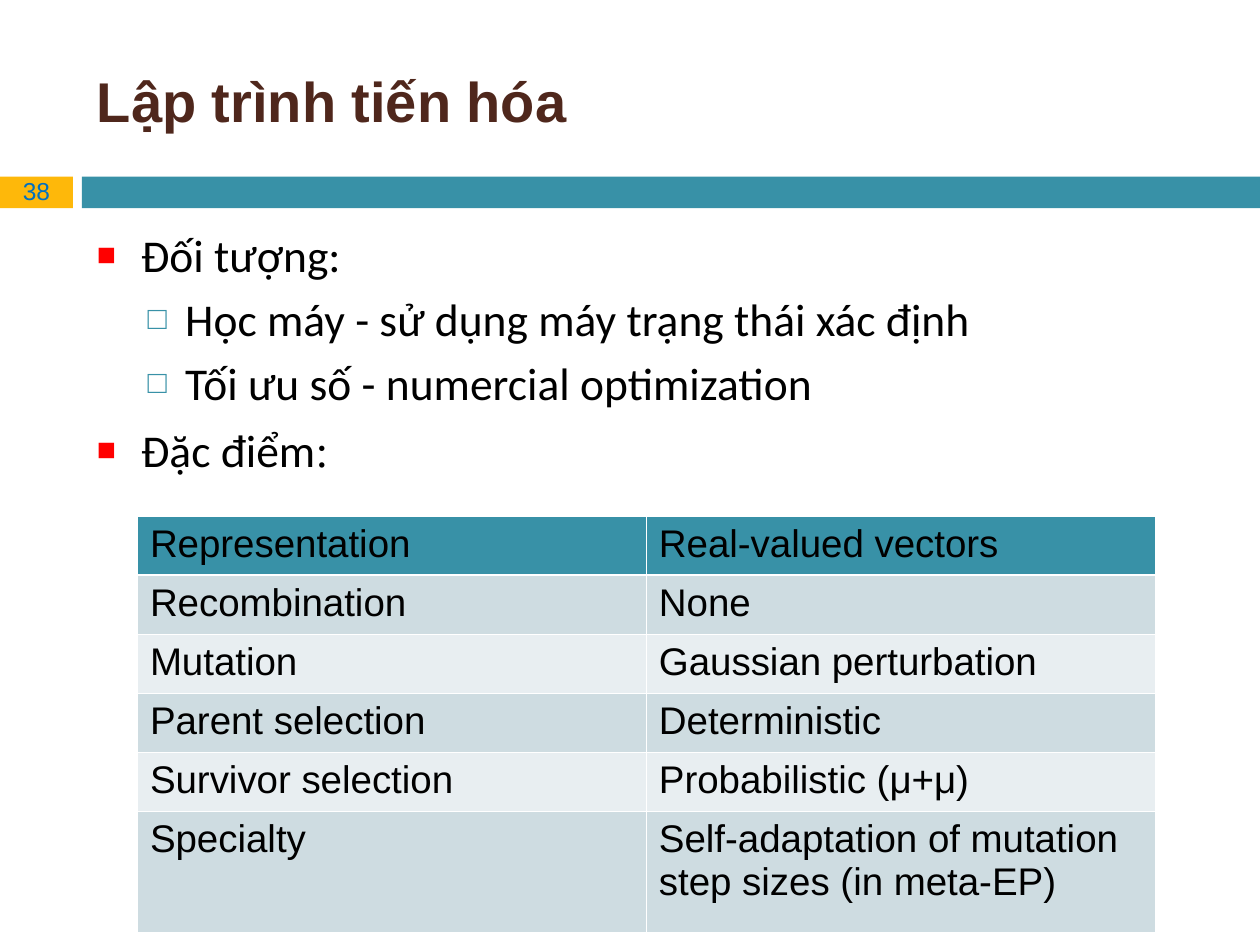
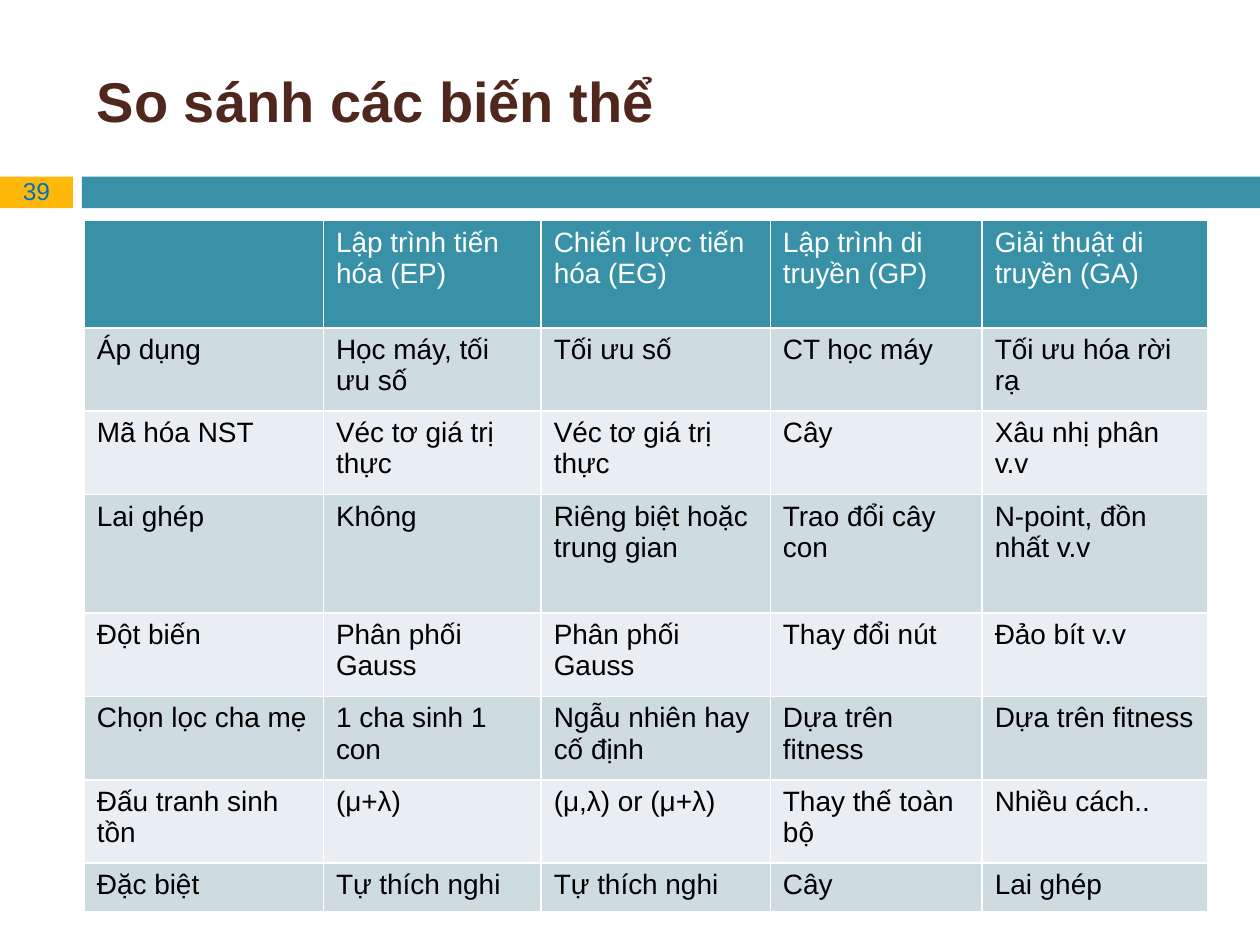
from lxml.etree import SubElement
from pptx import Presentation
from pptx.dml.color import RGBColor
from pptx.enum.shapes import MSO_SHAPE
from pptx.enum.text import MSO_ANCHOR, MSO_AUTO_SIZE, PP_ALIGN
from pptx.oxml.ns import qn
from pptx.util import Cm, Pt

AMBER = RGBColor(0xFE, 0xB8, 0x0A)
TEAL = RGBColor(0x38, 0x91, 0xA7)
BLUE = RGBColor(0x00, 0x70, 0xC0)
BROWN = RGBColor(0x4F, 0x27, 0x1C)
RED = RGBColor(0xFF, 0x00, 0x00)
BLACK = RGBColor(0x00, 0x00, 0x00)
WHITE = RGBColor(0xFF, 0xFF, 0xFF)
ROW_FILLS = (RGBColor(0xCE, 0xDC, 0xE1), RGBColor(0xE8, 0xEE, 0xF1))

TITLE_FONT = "Arial"
BODY_FONT = "Calibri"
TITLE_BOX = (1.7, 0.64, 22.66, 2.74)
BAND_BOX = (0, 3.56, 25.4, 0.64)
BODY_BOX = (1.7, 4.45, 22.66, 12.5)

LEVELS = (
    {"mark": "■", "color": RED, "left": 0.89, "hang": 0.89, "before": 7},
    {"mark": "□", "color": TEAL, "left": 1.78, "hang": 0.76, "before": 5.5},
)

OUTLINE = (
    (0, [("Đối tượng:", BODY_FONT)]),
    (1, [("Học máy - sử dụng máy trạng thái xác định", BODY_FONT)]),
    (1, [("Tối ưu số - numercial optimization", BODY_FONT)]),
    (0, [("Đặc điểm", BODY_FONT), (":", "Times New Roman")]),
)

FEATURES = (
    ("Representation", "Real-valued vectors"),
    ("Recombination", "None"),
    ("Mutation", "Gaussian perturbation"),
    ("Parent selection", "Deterministic"),
    ("Survivor selection", "Probabilistic (μ+μ)"),
    ("Specialty", "Self-adaptation of mutation step sizes (in meta-EP)"),
)

VARIANTS = (
    ("", "Lập trình tiến hóa (EP)", "Chiến lược tiến hóa (EG)",
     "Lập trình di truyền (GP)", "Giải thuật di truyền (GA)"),
    ("Áp dụng", "Học máy, tối ưu số", "Tối ưu số", "CT học máy", "Tối ưu hóa rời rạ"),
    ("Mã hóa NST", "Véc tơ giá trị thực", "Véc tơ giá trị thực", "Cây", "Xâu nhị phân v.v"),
    ("Lai ghép", "Không", "Riêng biệt hoặc trung gian", "Trao đổi cây con",
     "N-point, đồn nhất v.v"),
    ("Đột biến", "Phân phối Gauss", "Phân phối Gauss", "Thay đổi nút", "Đảo bít v.v"),
    ("Chọn lọc cha mẹ", "1 cha sinh 1 con", "Ngẫu nhiên hay cố định",
     "Dựa trên fitness", "Dựa trên fitness"),
    ("Đấu tranh sinh tồn", "(μ+λ)", "(μ,λ) or (μ+λ)", "Thay thế toàn bộ", "Nhiều cách.."),
    ("Đặc biệt", "Tự thích nghi", "Tự thích nghi", "Cây", "Lai ghép"),
)


def place(shape, box):
    """Move a shape to a box given in centimetres."""
    shape.left, shape.top, shape.width, shape.height = map(Cm, box)


def add_span(para, text, font, size, color, bold=False):
    """Append one formatted run to a paragraph."""
    span = para.add_run()
    span.text = text
    span.font.name = font
    span.font.size = Pt(size)
    span.font.bold = bold
    span.font.color.rgb = color


def add_bar(page, box, color):
    """Draw a plain filled rectangle."""
    bar = page.shapes.add_shape(MSO_SHAPE.RECTANGLE, *map(Cm, box))
    bar.shadow.inherit = False
    bar.fill.solid()
    bar.fill.fore_color.rgb = color
    bar.line.fill.background()


def add_band(page, box, number):
    """Draw the divider band with the page number at its left end."""
    left, top, width, height = box
    number_width, teal_start = 1.47, 1.65
    add_bar(page, (left, top, number_width, height), AMBER)
    add_bar(page, (left + teal_start, top, width - teal_start, height), TEAL)
    number_box = (left, top - 0.13, number_width, 0.86)
    label = page.shapes.add_textbox(*map(Cm, number_box))
    label.text_frame.word_wrap = True
    para = label.text_frame.paragraphs[0]
    para.alignment = PP_ALIGN.CENTER
    add_span(para, str(number), TITLE_FONT, 14, BLUE)


def add_page(deck, layout_index, title, number):
    """Add a page carrying the shared title and band."""
    page = deck.slides.add_slide(deck.slide_layouts[layout_index])
    heading = page.shapes.title
    place(heading, TITLE_BOX)
    heading.text_frame.auto_size = MSO_AUTO_SIZE.NONE
    heading.text_frame.vertical_anchor = MSO_ANCHOR.MIDDLE
    para = heading.text_frame.paragraphs[0]
    para.alignment = PP_ALIGN.LEFT
    add_span(para, title, TITLE_FONT, 32, BROWN, bold=True)
    add_band(page, BAND_BOX, number)
    return page


def set_bullet(para, level):
    """Give a paragraph the indent and bullet of its level."""
    props = para._p.get_or_add_pPr()
    props.set("marL", str(Cm(level["left"])))
    props.set("indent", str(-Cm(level["hang"])))
    color = SubElement(props, qn("a:buClr"))
    SubElement(color, qn("a:srgbClr"), val=str(level["color"]))
    SubElement(props, qn("a:buSzPct"), val="70000")
    SubElement(props, qn("a:buFont"), typeface="Arial")
    SubElement(props, qn("a:buChar"), char=level["mark"])


def fill_outline(body, box, outline):
    """Fill the body placeholder with a two-level list."""
    place(body, box)
    frame = body.text_frame
    frame.auto_size = MSO_AUTO_SIZE.NONE
    for index, (depth, spans) in enumerate(outline):
        para = frame.add_paragraph() if index else frame.paragraphs[0]
        para.level = depth
        set_bullet(para, LEVELS[depth])
        para.space_before = Pt(LEVELS[depth]["before"] if index else 0)
        for text, font in spans:
            add_span(para, text, font, 26, BLACK)


def set_borders(cell):
    """Draw thin white lines round a cell."""
    props = cell._tc.get_or_add_tcPr()
    for side in ("lnL", "lnR", "lnT", "lnB"):
        line = SubElement(props, qn(f"a:{side}"), w=str(Pt(1)))
        paint = SubElement(line, qn("a:solidFill"))
        SubElement(paint, qn("a:srgbClr"), val=str(WHITE))


def add_grid(page, corner, widths, heights, rows, size, header_color):
    """Add a banded table with its top left corner at the given point."""
    box = (*corner, sum(widths), sum(heights))
    table = page.shapes.add_table(len(heights), len(widths), *map(Cm, box)).table
    for column, width in zip(table.columns, widths):
        column.width = Cm(width)
    for index, (row, height, texts) in enumerate(zip(table.rows, heights, rows)):
        row.height = Cm(height)
        for cell, text in zip(row.cells, texts):
            set_borders(cell)
            cell.fill.solid()
            cell.fill.fore_color.rgb = ROW_FILLS[(index - 1) % 2] if index else TEAL
            para = cell.text_frame.paragraphs[0]
            if text:
                add_span(para, text, TITLE_FONT, size, BLACK if index else header_color)
            else:
                para.font.size = Pt(size)


def build_programming_page(deck):
    """Build the page on evolutionary programming."""
    page = add_page(deck, 1, "Lập trình tiến hóa", 38)
    fill_outline(page.placeholders[1], BODY_BOX, OUTLINE)
    heights = [1.12] + [1.19] * 4 + [2.44]
    add_grid(page, (2.77, 10.41), [10.26] * 2, heights, FEATURES, 22, BLACK)


def build_comparison_page(deck):
    """Build the page comparing the variants."""
    page = add_page(deck, 5, "So sánh các biến thể", 39)
    widths = [4.82, 4.39, 4.62, 4.27, 4.55]
    heights = [2.16, 1.68, 1.68, 2.39, 1.68, 1.68, 1.68, 0.97]
    add_grid(page, BODY_BOX[:2], widths, heights, VARIANTS, 16, WHITE)


def main():
    """Build and save the deck."""
    deck = Presentation()
    deck.slide_width, deck.slide_height = Cm(25.4), Cm(19.05)
    build_programming_page(deck)
    build_comparison_page(deck)
    deck.save("out.pptx")


if __name__ == "__main__":
    main()
